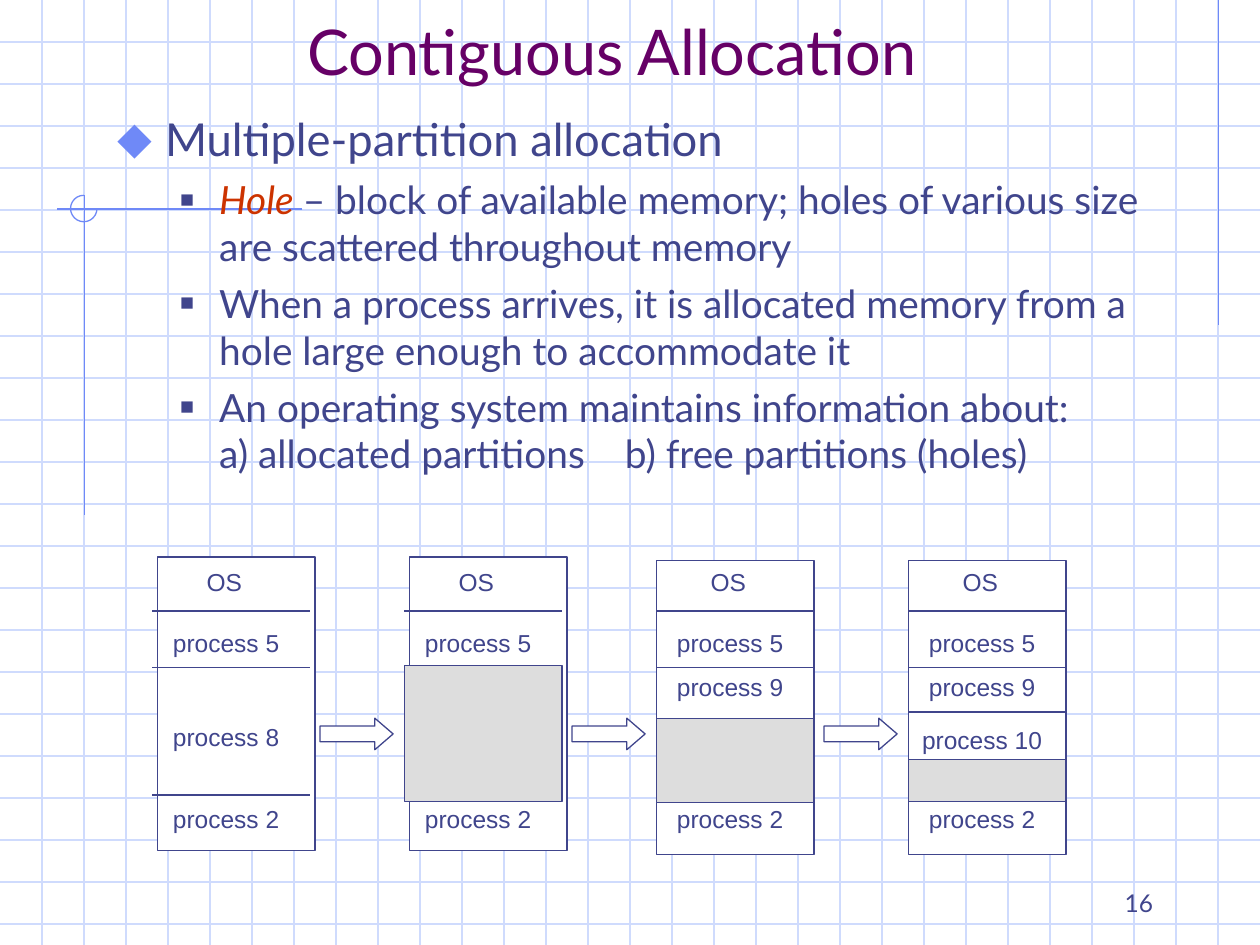
import pptx
import pptx.dml.color
import pptx.enum.shapes
import pptx.enum.text
import pptx.oxml.ns
import pptx.util
from lxml import etree
from pptx.util import Inches

INK, GRID, ACCENT = "40458C", "CFDBFD", "6F89F7"
WHITE, HOLE_GREY = "FFFFFF", "DDDDDD"
PLUM, RED = "660066", "CC3300"
SHAPES = pptx.enum.shapes.MSO_SHAPE
ALIGN = pptx.enum.text.PP_ALIGN
ANCHOR = pptx.enum.text.MSO_ANCHOR

SLIDE_WIDTH, SLIDE_HEIGHT = 10, 7.5
MEMORY_WIDTH, MEMORY_HEIGHT = 1.25, 2.33
FIRST_LEFT, COLUMN_STEP = 1.21, 2

# Frame offset and top, extra dividers, hole (top, height), labels by their top.
STAGES = [
    (0.04, 4.42, [], None, [("process 8", 5.68)]),
    (0.04, 4.42, [], (5.28, 1.08), []),
    (0, 4.45, [], (5.7, 0.67), [("process 9", 5.28)]),
    (0, 4.45, [5.65], (6.03, 0.33), [("process 9", 5.28), ("process 10", 5.7)]),
]
COMMON_DIVIDERS = [4.85, 5.3, 6.31]
COMMON_LABELS = [("process 5", 4.93), ("process 2", 6.33)]


def color(hex_code):
    return pptx.dml.color.RGBColor.from_string(hex_code)


def add_line(slide, x1, y1, x2, y2, line_color=INK):
    line = slide.shapes.add_connector(
        pptx.enum.shapes.MSO_CONNECTOR.STRAIGHT,
        Inches(x1), Inches(y1), Inches(x2), Inches(y2))
    line.line.color.rgb = color(line_color)
    line.line.width = pptx.util.Pt(0.75)
    etree.SubElement(line._element.spPr, pptx.oxml.ns.qn("a:effectLst"))


def add_outlined(slide, kind, left, top, width, height, fill=None, line_color=INK):
    shape = slide.shapes.add_shape(
        kind, Inches(left), Inches(top), Inches(width), Inches(height))
    shape.shadow.inherit = False
    if fill:
        shape.fill.solid()
        shape.fill.fore_color.rgb = color(fill)
    else:
        shape.fill.background()
    shape.line.color.rgb = color(line_color)
    shape.line.width = pptx.util.Pt(0.75)
    return shape


def style_font(font, size, name, font_color):
    font.size = pptx.util.Pt(size)
    font.name = name
    font.color.rgb = color(font_color)


def add_run(paragraph, text, size, name="Lato", font_color=INK):
    run = paragraph.add_run()
    run.text = text
    style_font(run.font, size, name, font_color)
    return run


def add_label(slide, text, left, top, width, height=0.34, size=14, name="Arial",
              align=ALIGN.CENTER, anchor=ANCHOR.MIDDLE):
    box = slide.shapes.add_textbox(
        Inches(left), Inches(top), Inches(width), Inches(height))
    box.text_frame.word_wrap = True
    box.text_frame.vertical_anchor = anchor
    paragraph = box.text_frame.paragraphs[0]
    paragraph.alignment = align
    add_run(paragraph, text, size, name)


def place(slide, placeholder, left, top, width, height, anchor):
    """Position a placeholder and bring it in front of what is drawn so far."""
    placeholder.left, placeholder.top = Inches(left), Inches(top)
    placeholder.width, placeholder.height = Inches(width), Inches(height)
    frame = placeholder.text_frame
    frame.auto_size = pptx.enum.text.MSO_AUTO_SIZE.NONE
    frame.word_wrap = True
    frame.vertical_anchor = anchor
    slide.shapes._spTree.append(placeholder._element)
    return frame


def format_bullet(paragraph, char, bullet_color, percent, indent, hanging, tab=None):
    properties = paragraph._p.get_or_add_pPr()
    properties.set("marL", str(Inches(indent)))
    properties.set("indent", str(-Inches(hanging)))

    def add(parent, tag, **attributes):
        return etree.SubElement(parent, pptx.oxml.ns.qn(tag), attributes)

    add(add(properties, "a:buClr"), "a:srgbClr", val=bullet_color)
    add(properties, "a:buSzPct", val=str(percent * 1000))
    add(properties, "a:buFont", typeface="Arial")
    add(properties, "a:buChar", char=char)
    if tab:
        add(add(properties, "a:tabLst"), "a:tab", pos=str(Inches(tab)), algn="l")


def draw_background(slide):
    for row in range(1, 23):
        add_line(slide, 0, row / 3, SLIDE_WIDTH, row / 3, GRID)
    for column in range(1, 30):
        add_line(slide, column / 3, 0, column / 3, SLIDE_HEIGHT, GRID)
    add_line(slide, 9.67, 0, 9.67, 2.58, ACCENT)
    add_line(slide, 2.4, 1.66, 0.45, 1.66, ACCENT)
    add_line(slide, 0.67, 1.55, 0.67, 4.09, ACCENT)
    ring = add_outlined(slide, SHAPES.ARC, 0.56, 1.55, 0.21, 0.21, line_color=ACCENT)
    ring.adjustments[0] = 0
    ring.adjustments[1] = 162  # 270 degrees


def write_title(slide):
    frame = place(slide, slide.shapes.title, 0.67, 0.33, 8.5, 0.42, ANCHOR.BOTTOM)
    heading = frame.paragraphs[0]
    heading.alignment = ALIGN.CENTER
    add_run(heading, "Contiguous Allocation ", 36, font_color=PLUM)


def write_body(slide):
    frame = place(slide, slide.placeholders[1], 0.83, 0.83, 8.67, 3.48, ANCHOR.TOP)
    topic = frame.paragraphs[0]
    format_bullet(topic, "⬥", ACCENT, 110, 0.38, 0.38)
    topic.space_before = pptx.util.Pt(0)
    add_run(topic, "Multiple-partition allocation", 25.9)

    def add_point(tab=None):
        point = frame.add_paragraph()
        point.level = 1
        format_bullet(point, "■", INK, 60, 0.81, 0.31, tab)
        point.space_before = pptx.util.Pt(6)
        return point

    hole = add_point()
    add_run(hole, "Hole ", 22.2, font_color=RED).font.italic = True
    add_run(hole, "– block of available memory; holes of various size "
                  "are scattered throughout memory", 22.2)
    add_run(add_point(), "When a process arrives, it is allocated memory from a "
                         "hole large enough to accommodate it", 22.2)
    tracking = add_point(tab=4.03)
    add_run(tracking, "An operating system maintains information about:", 22.2)
    tracking.add_line_break()
    add_run(tracking, "a) allocated partitions\tb) free partitions (holes)", 22.2)


def draw_memory(slide, left, frame_offset, frame_top, dividers, hole, labels):
    add_outlined(slide, SHAPES.RECTANGLE, left + frame_offset, frame_top,
                 MEMORY_WIDTH, MEMORY_HEIGHT, WHITE)
    for y in COMMON_DIVIDERS + dividers:
        add_line(slide, left, y, left + MEMORY_WIDTH, y)
    if hole:
        hole_top, hole_height = hole
        add_outlined(slide, SHAPES.RECTANGLE, left, hole_top,
                     MEMORY_WIDTH, hole_height, HOLE_GREY)
    add_label(slide, "OS", left + 0.33, 4.45, 0.48)
    for text, top in COMMON_LABELS + labels:
        add_label(slide, text, left, top, 1.17)


def draw_step_arrow(slide, left):
    arrow = add_outlined(slide, SHAPES.RIGHT_ARROW, left, 5.7, 0.58, 0.25, WHITE)
    arrow.adjustments[0] = 0.5
    arrow.adjustments[1] = 0.58


def main():
    deck = pptx.Presentation()
    deck.slide_width, deck.slide_height = Inches(SLIDE_WIDTH), Inches(SLIDE_HEIGHT)
    slide = deck.slides.add_slide(deck.slide_layouts[1])
    slide.background.fill.solid()
    slide.background.fill.fore_color.rgb = color(WHITE)
    draw_background(slide)
    write_title(slide)
    write_body(slide)
    for index, stage in enumerate(STAGES):
        left = FIRST_LEFT + index * COLUMN_STEP
        draw_memory(slide, left, *stage)
        if index < len(STAGES) - 1:
            draw_step_arrow(slide, left + 1.33)
    add_label(slide, "16", 7.17, 6.83, 2.08, 0.5, name="Lato",
              align=ALIGN.RIGHT, anchor=ANCHOR.BOTTOM)
    deck.save("out.pptx")


if __name__ == "__main__":
    main()
